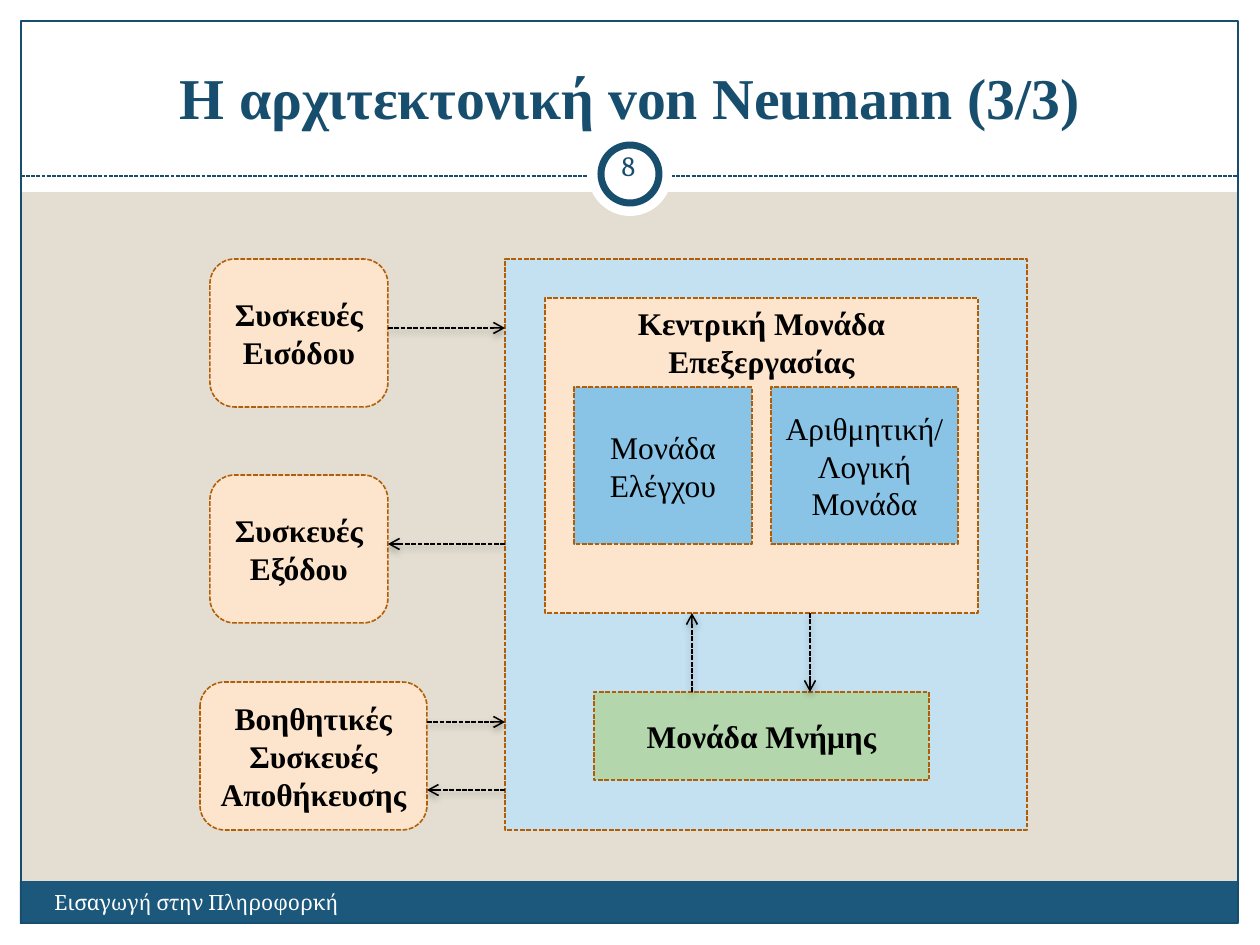
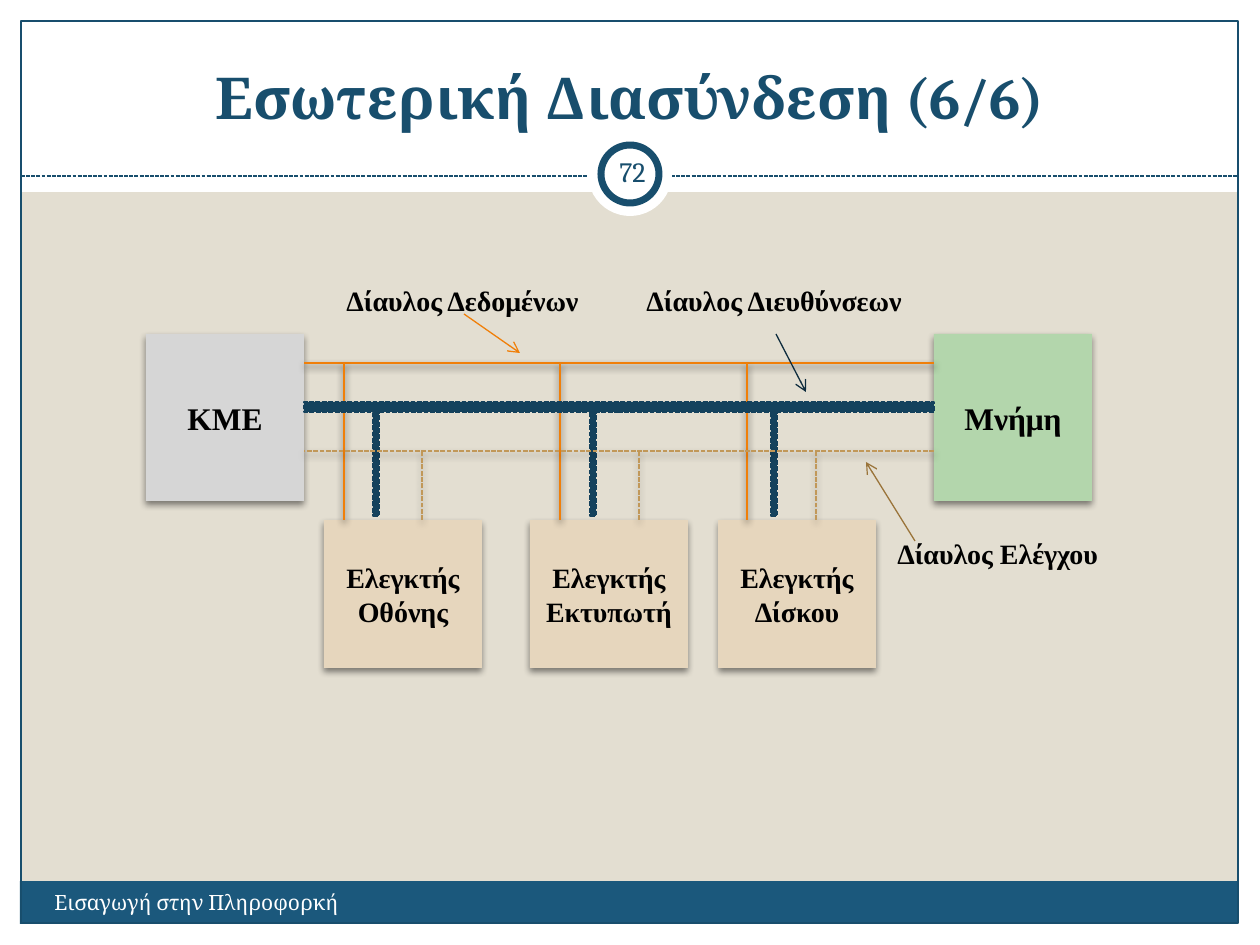
"""Build two slides on the von Neumann architecture and the internal bus connection."""
from lxml.etree import SubElement
from pptx import Presentation
from pptx.dml.color import RGBColor
from pptx.enum.dml import MSO_LINE
from pptx.enum.shapes import MSO_CONNECTOR, MSO_SHAPE
from pptx.enum.text import MSO_ANCHOR, MSO_AUTO_SIZE, PP_ALIGN
from pptx.oxml.ns import qn
from pptx.util import Pt

EMU_PER_PX = 914400 / 126
SLIDE_W, SLIDE_H = 1260, 945
SERIF, ROMAN = "Cambria", "Times New Roman"
COLORS = {
    "sand": "E3DED1", "white": "FFFFFF", "black": "000000", "navy": "184E6D", "footer": "1B587C",
    "rust": "B25E07", "sky": "C4E1F2", "peach": "FDE5CD", "blue": "89C3E5", "green": "B3D6AC",
    "grey": "D6D6D6", "tan": "E6D6BD", "orange": "F07F09", "address": "14425D",
    "address_edge": "14415C", "control": "C19859", "address_arrow": "0E2C3E",
    "control_arrow": "9A743A",
}
RECT, ROUND, OVAL = MSO_SHAPE.RECTANGLE, MSO_SHAPE.ROUNDED_RECTANGLE, MSO_SHAPE.OVAL

FOOTER = "Εισαγωγή στην Πληροφορκή"
FURNITURE = [
    (RECT, (0, 924, SLIDE_W, 21), "white", None, 0),
    (RECT, (0, 0, SLIDE_W, 192), "white", None, 0),
    (RECT, (0, 0, 21, SLIDE_H), "white", None, 0),
    (RECT, (1239, 0, 21, SLIDE_H), "white", None, 0),
    (RECT, (20, 881, 1218, 43), "footer", None, 0),
    (RECT, (21, 21, 1217, 902), None, "navy", 0.75),
]
BADGE = [
    (OVAL, (588, 132, 84, 84), "white", None, 0),
    (OVAL, (601, 145, 58, 58), "white", "navy", 4),
]

ARCHITECTURE = {
    "title": "Η αρχιτεκτονική von Neumann (3/3)", "font": ROMAN,
    "number": "8", "number_at": (597, 135, 63, 60),
}
MACHINE = (505, 259, 522, 571)
CPU = (545, 298, 433, 315)
MEMORY = (594, 692, 335, 88)
INPUT = (210, 259, 178, 148)
OUTPUT = (210, 475, 178, 148)
STORAGE = (200, 682, 227, 148)
UNITS = [
    (RECT, MACHINE, "sky", "", True),
    (RECT, CPU, "peach", "Κεντρική Μονάδα Επεξεργασίας", True),
    (RECT, (574, 387, 178, 157), "blue", "Μονάδα Ελέγχου", False),
    (RECT, (771, 387, 187, 157), "blue", "Αριθμητική/Λογική Μονάδα", False),
    (RECT, MEMORY, "green", "Μονάδα Μνήμης", True),
    (ROUND, INPUT, "peach", "Συσκευές Εισόδου", True),
    (ROUND, OUTPUT, "peach", "Συσκευές Εξόδου", True),
    (ROUND, STORAGE, "peach", "Βοηθητικές Συσκευές Αποθήκευσης", True),
]
DEVICE_FLOWS = [(STORAGE, 722, True), (STORAGE, 790, False), (INPUT, 328, True), (OUTPUT, 544, False)]
MEMORY_FLOWS = [(692, False), (810, True)]

CONNECTION = {
    "title": "Εσωτερική Διασύνδεση (6/6)", "font": SERIF,
    "number": "72", "number_at": (601, 141, 63, 60),
}
ENDS = [("ΚΜΕ", 146, "grey"), ("Μνήμη", 934, "green")]
END_TOP, END_W, END_H = 334, 158, 167
CONTROLLER_TOP, CONTROLLER_H = 520, 148
CONTROLLERS = [
    ("Ελεγκτής Οθόνης", 324, {"data": 344, "address": 376, "control": 422}),
    ("Ελεγκτής Εκτυπωτή", 530, {"data": 560, "address": 593, "control": 639}),
    ("Ελεγκτής Δίσκου", 718, {"data": 747, "address": 774, "control": 816}),
]
DATA_Y, ADDRESS_Y, CONTROL_Y = 363, 402, 451
BUS_LABELS = [
    ("Δίαυλος Δεδομένων", (334, 277, 261, 47), "orange", (464, 314, 520, 353)),
    ("Δίαυλος Διευθύνσεων", (634, 277, 284, 47), "address_arrow", (776, 334, 806, 392)),
    ("Δίαυλος Ελέγχου", (885, 530, 228, 47), "control_arrow", (915, 541, 866, 462)),
]


def px(*lengths):
    return [round(length * EMU_PER_PX) for length in lengths]


def rgb(name):
    return RGBColor.from_string(COLORS[name])


def cast_shadow(effects, opacity):
    shadow = SubElement(effects, qn("a:outerShdw"), blurRad=str(Pt(4)), dist=str(Pt(2)),
                        dir="5400000", algn="ctr", rotWithShape="0")
    color = SubElement(shadow, qn("a:srgbClr"), val=COLORS["black"])
    SubElement(color, qn("a:alpha"), val=str(opacity * 1000))


def write(part, text, size, font=ROMAN, color="black", bold=True,
          align=PP_ALIGN.CENTER, anchor=MSO_ANCHOR.MIDDLE, wrap=True):
    frame = part.text_frame
    frame.text = text
    frame.word_wrap = wrap
    frame.vertical_anchor = anchor
    paragraph = frame.paragraphs[0]
    paragraph.alignment = align
    for run in paragraph.runs:
        run.font.size, run.font.name, run.font.bold = Pt(size), font, bold
        run.font.color.rgb = rgb(color)


def draw_box(slide, kind, place, fill, edge=None, width=0.9, dashed=False, opacity=0):
    box = slide.shapes.add_shape(kind, *px(*place))
    box.shadow.inherit = False
    if opacity:
        cast_shadow(box.element.spPr.find(qn("a:effectLst")), opacity)
    if fill:
        box.fill.solid()
        box.fill.fore_color.rgb = rgb(fill)
    else:
        box.fill.background()
    if edge:
        box.line.color.rgb = rgb(edge)
        box.line.width = Pt(width)
        if dashed:
            box.line.dash_style = MSO_LINE.SQUARE_DOT
    else:
        box.line.fill.background()
    return box


def draw_line(slide, ends, color, width=0.9, dashed=True, arrow=False, opacity=0):
    line = slide.shapes.add_connector(MSO_CONNECTOR.STRAIGHT, *px(*ends))
    line.line.color.rgb = rgb(color)
    line.line.width = Pt(width)
    if dashed:
        line.line.dash_style = MSO_LINE.SQUARE_DOT
    properties = line.element.spPr
    if arrow:
        SubElement(properties.find(qn("a:ln")), qn("a:tailEnd"), type="arrow")
    effects = SubElement(properties, qn("a:effectLst"))
    if opacity:
        cast_shadow(effects, opacity)


def furnish_layout(slide, layout):
    layout.background.fill.solid()
    layout.background.fill.fore_color.rgb = rgb("sand")
    for placeholder in list(layout.placeholders)[1:]:
        placeholder.element.getparent().remove(placeholder.element)
    for part in FURNITURE:
        draw_box(slide, *part)
    draw_line(slide, (21, 176, 1239, 176), "navy", 0.75)
    for part in BADGE:
        draw_box(slide, *part)
    footer = slide.shapes.add_textbox(*px(42, 883, 494, 50))
    write(footer, FOOTER, 12, SERIF, "white", False, PP_ALIGN.LEFT, MSO_ANCHOR.TOP)
    for part in list(slide.shapes)[1:]:
        layout.shapes.element.append(part.element)


def head_slide(slide, heading):
    title = slide.shapes.title
    title.left, title.top, title.width, title.height = px(42, 32, 1176, 105)
    write(title, heading["title"], 33, heading["font"], "navy", anchor=MSO_ANCHOR.BOTTOM)
    title.text_frame.auto_size = MSO_AUTO_SIZE.NONE
    number = slide.shapes.add_textbox(*px(*heading["number_at"]))
    write(number, heading["number"], 16, SERIF, "navy", False)
    frame = number.text_frame
    frame.margin_left = frame.margin_right = frame.margin_top = frame.margin_bottom = px(6)[0]


def draw_architecture(slide):
    for kind, place, fill, text, bold in UNITS:
        unit = draw_box(slide, kind, place, fill, "rust", dashed=True)
        if text:
            anchor = MSO_ANCHOR.TOP if place == CPU else MSO_ANCHOR.MIDDLE
            write(unit, text, 18, bold=bold, anchor=anchor)
    cpu_bottom = CPU[1] + CPU[3]
    flows = []
    for x, downward in MEMORY_FLOWS:
        start, end = (cpu_bottom, MEMORY[1]) if downward else (MEMORY[1], cpu_bottom)
        flows.append((x, start, x, end))
    for device, y, inward in DEVICE_FLOWS:
        edge = device[0] + device[2]
        start, end = (edge, MACHINE[0]) if inward else (MACHINE[0], edge)
        flows.append((start, y, end, y))
    for flow in flows:
        draw_line(slide, flow, "black", arrow=True, opacity=35)


def draw_connection(slide):
    for text, left, fill in ENDS:
        end = draw_box(slide, RECT, (left, END_TOP, END_W, END_H), fill, opacity=45)
        write(end, text, 18)
    for text, left, _ in CONTROLLERS:
        place = (left, CONTROLLER_TOP, END_W, CONTROLLER_H)
        write(draw_box(slide, RECT, place, "tan", opacity=45), text, 16)

    bus_left, bus_right = ENDS[0][1] + END_W, ENDS[1][1]
    taps = [tap for _, _, tap in CONTROLLERS]
    data_style = {"color": "orange", "width": 1.57, "dashed": False, "opacity": 45}
    control_style = {"color": "control", "opacity": 35}

    def draw_bus(bus, y, style):
        draw_line(slide, (bus_right, y, bus_left, y), **style)
        for tap in taps:
            draw_line(slide, (tap[bus], CONTROLLER_TOP, tap[bus], y), **style)

    draw_bus("data", DATA_Y, data_style)
    address_bars = [(bus_left, ADDRESS_Y, bus_right - bus_left, 10)]
    address_bars += [(tap["address"] - 3, ADDRESS_Y + 11, 6, 103) for tap in taps]
    for bar in address_bars:
        draw_box(slide, RECT, bar, "address", "address_edge", dashed=True)
    draw_bus("control", CONTROL_Y, control_style)

    for text, place, _, _ in BUS_LABELS:
        label = slide.shapes.add_textbox(*px(*place))
        write(label, text, 16, align=PP_ALIGN.LEFT, anchor=MSO_ANCHOR.TOP, wrap=False)
    for _, _, color, pointer in BUS_LABELS:
        draw_line(slide, pointer, color, 0.75, dashed=False, arrow=True)


def main():
    deck = Presentation()
    deck.slide_width, deck.slide_height = px(SLIDE_W, SLIDE_H)
    layout = deck.slide_layouts[5]
    slides = [deck.slides.add_slide(layout) for _ in range(2)]
    furnish_layout(slides[0], layout)
    for slide, heading, draw in zip(slides, (ARCHITECTURE, CONNECTION),
                                    (draw_architecture, draw_connection)):
        head_slide(slide, heading)
        draw(slide)
    deck.save("out.pptx")


if __name__ == "__main__":
    main()
